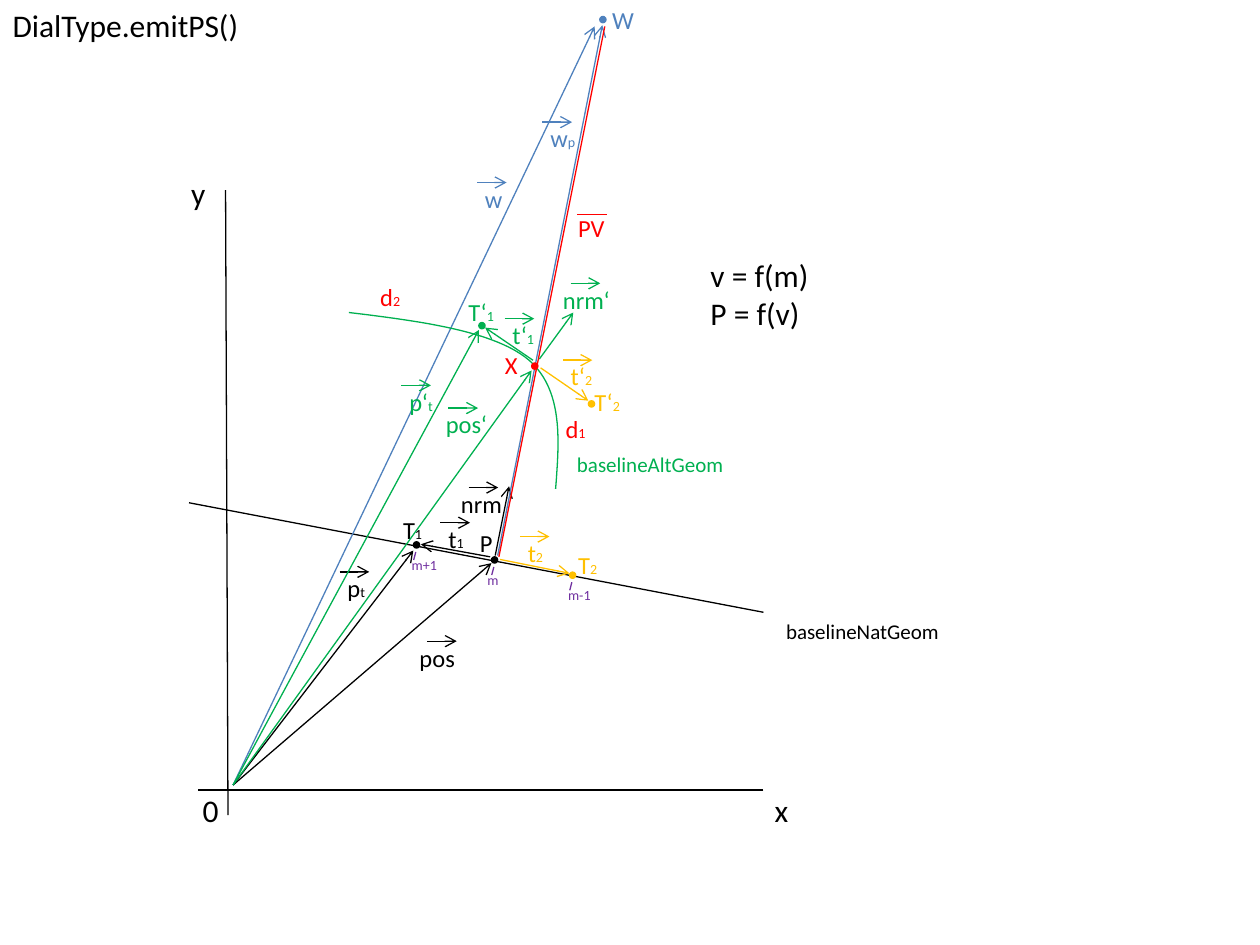
from collections import namedtuple

from lxml import etree
from pptx import Presentation
from pptx import util as u
from pptx.dml.color import RGBColor
from pptx.enum import shapes, text
from pptx.oxml import ns

BLACK = RGBColor(0x00, 0x00, 0x00)
GREEN = RGBColor(0x00, 0xB0, 0x50)
BLUE = RGBColor(0x4F, 0x81, 0xBD)
RED = RGBColor(0xFF, 0x00, 0x00)
AMBER = RGBColor(0xFF, 0xC0, 0x00)
PURPLE = RGBColor(0x70, 0x30, 0xA0)
DOT_SIZE, LINE_WIDTH, ARROW_LENGTH, CURVE_STEPS = 3.6, 0.75, 16.9, 24
ORIGIN = (133.2, 448.6)


class Box(namedtuple("Box", "left top")):
    """A region whose parts are placed from its top left corner."""

    def at(self, point):
        """Return the slide position of a point in the region."""
        return u.Pt(self.left + point[0]), u.Pt(self.top + point[1])

    def inside(self, point):
        """Return a slide point as seen from the region."""
        return point[0] - self.left, point[1] - self.top


def apply(target, values):
    """Set attributes from a dict of format values."""
    for name, value in values.items():
        setattr(target, name, value)


def add_line(page, box, start, end, color=BLACK, arrow=False):
    """Draw a straight line, with an open arrowhead at its end if asked."""
    line = page.shapes.add_connector(
        shapes.MSO_CONNECTOR.STRAIGHT, *box.at(start), *box.at(end))
    line.line.color.rgb = color
    line.line.width = u.Pt(LINE_WIDTH)
    if arrow:
        etree.SubElement(line.line._get_or_add_ln(), ns.qn("a:tailEnd"), type="arrow")
    etree.SubElement(line._element.spPr, ns.qn("a:effectLst"))


def add_dot(page, box, center, color=BLACK):
    """Mark a point with a small filled circle."""
    corner = [value - DOT_SIZE / 2 for value in center]
    dot = page.shapes.add_shape(shapes.MSO_SHAPE.OVAL, *box.at(corner),
                                u.Pt(DOT_SIZE), u.Pt(DOT_SIZE))
    dot.shadow.inherit = False
    dot.fill.solid()
    dot.fill.fore_color.rgb = color
    dot.line.color.rgb = color
    dot.line.width = u.Pt(LINE_WIDTH)


def add_label(page, box, words, corner, width, color=BLACK, size=14):
    """Write text whose part after an underscore is a small index."""
    lines = words.split("\n")
    height = 7.2 + 1.22 * size * len(lines)
    label = page.shapes.add_textbox(*box.at(corner), u.Pt(width), u.Pt(height))
    apply(label.text_frame, {"word_wrap": False,
                             "auto_size": text.MSO_AUTO_SIZE.SHAPE_TO_FIT_TEXT})
    for number, line in enumerate(lines):
        para = label.text_frame.add_paragraph() if number else label.text_frame.paragraphs[0]
        name, _, index = line.partition("_")
        for part, points in ((name, size), (index, 8)):
            if part:
                span = para.add_run()
                span.text = part
                apply(span.font, {"name": "Calibri", "size": u.Pt(points)})
                span.font.color.rgb = color


def add_vector_label(page, box, words, corner, width, color=BLACK,
                     indent=2.6, drop=2.8, arrow=True):
    """Write a name with a bar or an arrow above it."""
    add_label(page, box, words, corner, width, color)
    start = corner[0] + indent, corner[1] + drop
    add_line(page, box, start, (start[0] + ARROW_LENGTH, start[1]), color, arrow)


def bezier(p0, p1, p2, p3):
    """Return evenly stepped points along a cubic curve, without its start."""
    points = []
    for step in range(1, CURVE_STEPS + 1):
        t = step / CURVE_STEPS
        points.append(tuple(
            (1 - t) ** 3 * a + 3 * (1 - t) ** 2 * t * b + 3 * (1 - t) * t ** 2 * c + t ** 3 * d
            for a, b, c, d in zip(p0, p1, p2, p3)))
    return points


def add_title(page, box):
    """Place the slide title in the top left corner."""
    title = page.shapes.title
    left, top = box.at((0, 0))
    apply(title, {"left": left, "top": top, "width": u.Pt(150), "height": u.Pt(29)})
    title.text_frame.text = "DialType.emitPS()"
    apply(title.text_frame, {"word_wrap": True, "auto_size": text.MSO_AUTO_SIZE.NONE,
                             "vertical_anchor": text.MSO_ANCHOR.TOP})
    para = title.text_frame.paragraphs[0]
    para.alignment = text.PP_ALIGN.LEFT
    apply(para.font, {"name": "Calibri", "size": u.Pt(18)})
    para.font.color.rgb = BLACK


def add_axes(page, box):
    """Draw both axes with their names."""
    add_line(page, box, (28.9, 18.7), (30.3, 375.8))
    add_line(page, box, (336.3, 361.4), (13, 361.4))
    for name, corner in (("0", (8.7, 358.6)), ("x", (335.6, 358.6)), ("y", (2.2, 5.8))):
        add_label(page, box, name, corner, 23, size=18)


def add_natural_baseline(page, box):
    """Draw the straight baseline with its points and vectors."""
    origin = box.inside(ORIGIN)
    add_line(page, box, (336.3, 79.9), (8, 17.3))
    add_label(page, box, "baselineNatGeom", (342.1, 79.9), 103, size=12)
    for start, end, color in (
            (origin, (180.8, 51.8), BLACK), (origin, (136.2, 44.6), BLACK),
            ((180.1, 48.2), (140.5, 41), BLACK), ((185.8, 49.7), (225.4, 57.6), AMBER),
            ((183, 47.5), (190.9, 7.9), BLACK)):
        add_line(page, box, start, end, color, arrow=True)
    for center, color, name, corner, width, mark, mark_left, mark_width in (
            ((182.6, 50), BLACK, "P", (167.1, 28.1), 21.6, "m", 171.4, 20.9),
            ((138, 41.4), BLACK, "T_1", (123.2, 20.9), 25.2, "m+1", 128.2, 29.5),
            ((227.2, 58.7), AMBER, "T_2", (223.3, 41), 25.2, "m-1", 217.5, 28.1)):
        x, y = center
        add_dot(page, box, center, color)
        add_label(page, box, name, corner, width, color)
        add_line(page, box, (x - 0.4, y + 4), (x - 1.6, y + 8.6), PURPLE)
        add_label(page, box, mark, (mark_left, y + 3), mark_width, PURPLE, 8)
    for name, corner, width, color, indent in (
            ("pos", (132.6, 93.6), 35.3, BLACK, 11.5), ("t_1", (149.1, 25.9), 23, BLACK, 2.6),
            ("t_2", (194.5, 33.8), 23, AMBER, 2.6), ("nrm", (156.3, 5.8), 38.2, BLACK, 11.5),
            ("p_t", (91.5, 54), 24.5, BLACK, 2.6)):
        add_vector_label(page, box, name, corner, width, color, indent)


def add_alternative_baseline(page, box):
    """Draw the curved baseline with its points and vectors."""
    origin = box.inside(ORIGIN)
    start, middle, end = (19.4, 28.6), (122.4, 55.9), (137.5, 129.4)
    points = (bezier(start, (61.2, 33.6), (103, 39.4), middle)
              + bezier(middle, (141.8, 73.2), (139.7, 101.3), end))
    builder = page.shapes.build_freeform(*box.at(start))
    builder.add_line_segments([box.at(point) for point in points], close=False)
    curve = builder.convert_to_shape()
    curve.shadow.inherit = False
    curve.fill.background()
    curve.line.color.rgb = GREEN
    curve.line.width = u.Pt(LINE_WIDTH)
    for start, end, color in (
            (origin, (123.8, 61.7), GREEN), (origin, (93.6, 38.6), GREEN),
            ((124.6, 55.9), (97.2, 37.2), GREEN), ((128.9, 60.2), (156.2, 79), AMBER),
            ((128.2, 55.2), (147.6, 28.6), GREEN)):
        add_line(page, box, start, end, color, arrow=True)
    for center, color, name, corner, width in (
            ((125.6, 59.2), RED, "X", (101.5, 46.6), 21.6),
            ((95.4, 36.1), GREEN, "T‘_1", (80.6, 16.3), 29.5),
            ((158, 80.8), AMBER, "T‘_2", (152.6, 67.4), 29.5)):
        add_dot(page, box, center, color)
        add_label(page, box, name, corner, width, color)
    for name, corner, width, color, indent in (
            ("pos‘", (67.7, 80.4), 38.2, GREEN, 8.6), ("t‘_1", (105.8, 29.3), 26.6, GREEN, 2.6),
            ("t‘_2", (139, 53), 26.6, AMBER, 2.6), ("nrm‘", (134.6, 9.1), 41.8, GREEN, 11.5),
            ("p‘_t", (46.8, 67.4), 28.1, GREEN, 2.6)):
        add_vector_label(page, box, name, corner, width, color, indent)
    add_label(page, box, "baselineAltGeom", (142.6, 104.2), 99.4, GREEN, 12)
    add_label(page, box, "d_1", (136.1, 83.3), 25.9, RED)
    add_label(page, box, "d_2", (30.2, 7.7), 25.9, RED)


def add_far_point(page, box):
    """Draw the point W with the vectors and the segment reaching it."""
    add_line(page, box, (154.4, 317.5), (214.2, 14.4), BLUE, arrow=True)
    add_line(page, box, box.inside(ORIGIN), (209.8, 15.1), BLUE, arrow=True)
    add_line(page, box, (215.6, 15.1), (155.1, 318.2), RED)
    add_dot(page, box, (214.5, 11.2), BLUE)
    add_label(page, box, "W", (212.7, -0.7), 27.4, BLUE)
    add_vector_label(page, box, "w_p", (177.4, 67), 28.8, BLUE)
    add_vector_label(page, box, "w", (140, 101.5), 24.5, BLUE)
    add_vector_label(page, box, "PV", (193.3, 118.1), 29.5, RED, 6.5, 4.3, arrow=False)


def add_formulas(page, box):
    """Write the two function relations."""
    add_label(page, box, "v = f(m)\nP = f(v)", (0, 0), 73.4, size=18)


def main():
    """Build the slide and save it."""
    deck = Presentation()
    apply(deck, {"slide_width": u.Pt(720), "slide_height": u.Pt(540)})
    page = deck.slides.add_slide(deck.slide_layouts.get_by_name("Title Only"))
    add_title(page, Box(0, 0))
    add_axes(page, Box(100, 90))
    add_natural_baseline(page, Box(100, 270))
    add_far_point(page, Box(130, 0))
    add_alternative_baseline(page, Box(180, 150))
    add_formulas(page, Box(398.9, 142.6))
    deck.save("out.pptx")


if __name__ == "__main__":
    main()
